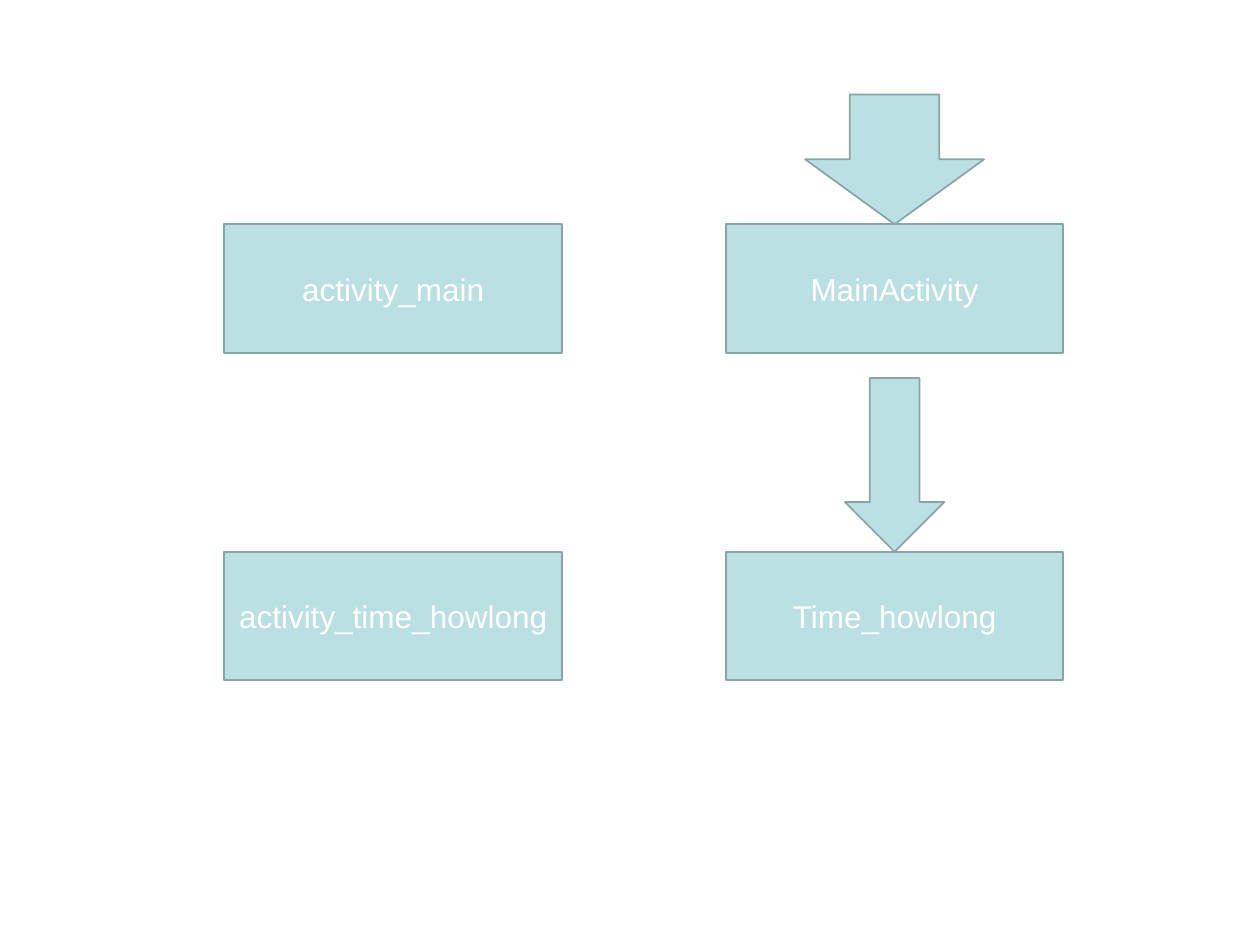
from pptx import Presentation
from pptx.dml.color import RGBColor
from pptx.enum.shapes import MSO_SHAPE
from pptx.enum.text import MSO_ANCHOR, PP_ALIGN
from pptx.util import Inches, Pt

RECTANGLE = MSO_SHAPE.RECTANGLE
DOWN_ARROW = MSO_SHAPE.DOWN_ARROW
MIDDLE = MSO_ANCHOR.MIDDLE
CENTER = PP_ALIGN.CENTER

PALE_TEAL = RGBColor(0xBB, 0xE0, 0xE3)
GREY_TEAL = RGBColor(0x89, 0xA4, 0xA7)
WHITE = RGBColor(0xFF, 0xFF, 0xFF)

BOX_WIDTH, BOX_HEIGHT = 2.68, 1.02
LAYOUT_LEFT, CLASS_LEFT = 1.78, 5.76
MAIN_TOP, TIME_TOP = 1.78, 4.38

prs = Presentation()
prs.slide_width = Inches(10)
prs.slide_height = Inches(7.5)
slide = prs.slides.add_slide(prs.slide_layouts[6])


def add_block(kind, left, top, width, height):
    block = slide.shapes.add_shape(
        kind, Inches(left), Inches(top), Inches(width), Inches(height))
    block.shadow.inherit = False
    block.fill.solid()
    block.fill.fore_color.rgb = PALE_TEAL
    block.line.color.rgb = GREY_TEAL
    block.line.width = Pt(1)
    return block


# Layout files on the left, their classes on the right
for top, row in [
    (MAIN_TOP, ["activity_main", "MainActivity"]),
    (TIME_TOP, ["activity_time_howlong", "Time_howlong"]),
]:
    for left, label in zip([LAYOUT_LEFT, CLASS_LEFT], row):
        box = add_block(RECTANGLE, left, top, BOX_WIDTH, BOX_HEIGHT)
        box.text_frame.vertical_anchor = MIDDLE
        box.text_frame.word_wrap = True
        paragraph = box.text_frame.paragraphs[0]
        paragraph.text = label
        paragraph.alignment = CENTER
        paragraph.font.name = "Arial"
        paragraph.font.size = Pt(18)
        paragraph.font.color.rgb = WHITE

# Arrows centred on the class column, each ending at the box below
class_center = CLASS_LEFT + BOX_WIDTH / 2
for width, height, tip in [(1.42, 1.03, MAIN_TOP), (0.79, 1.38, TIME_TOP)]:
    add_block(DOWN_ARROW, class_center - width / 2, tip - height, width, height)

prs.save("out.pptx")
